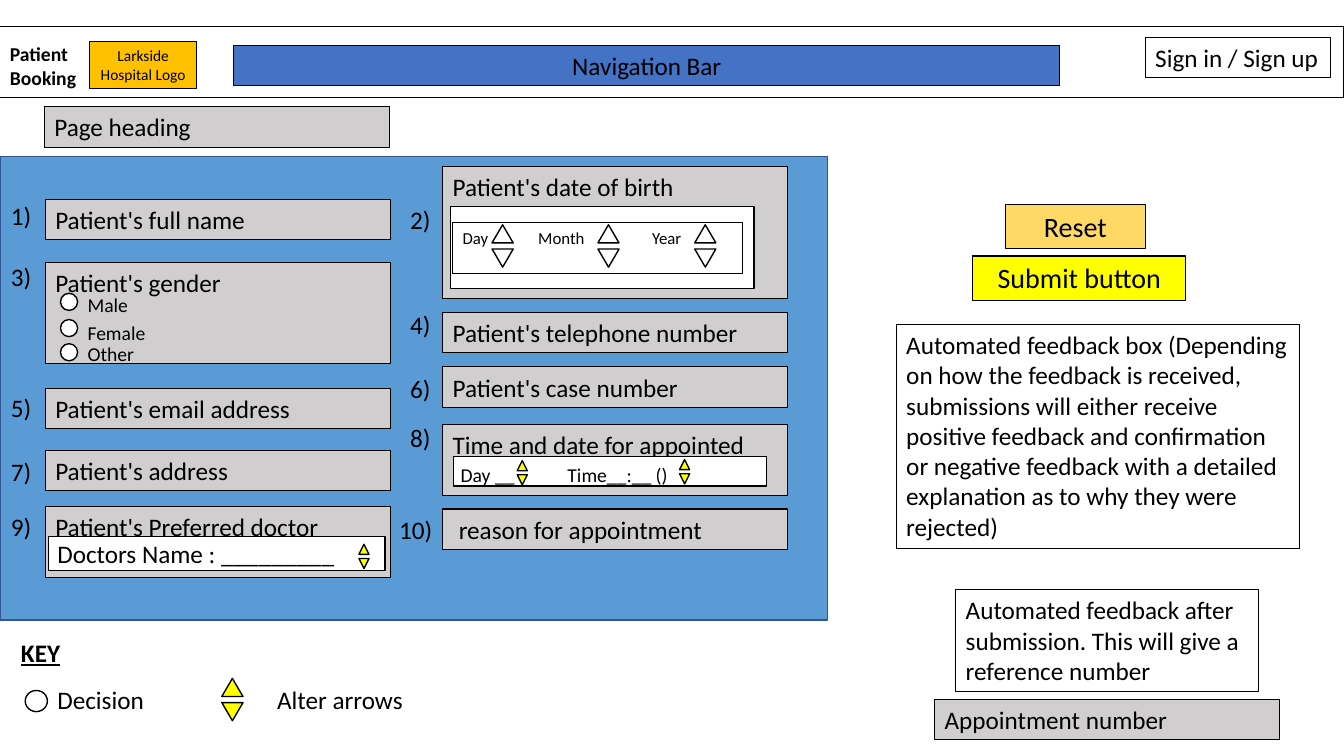
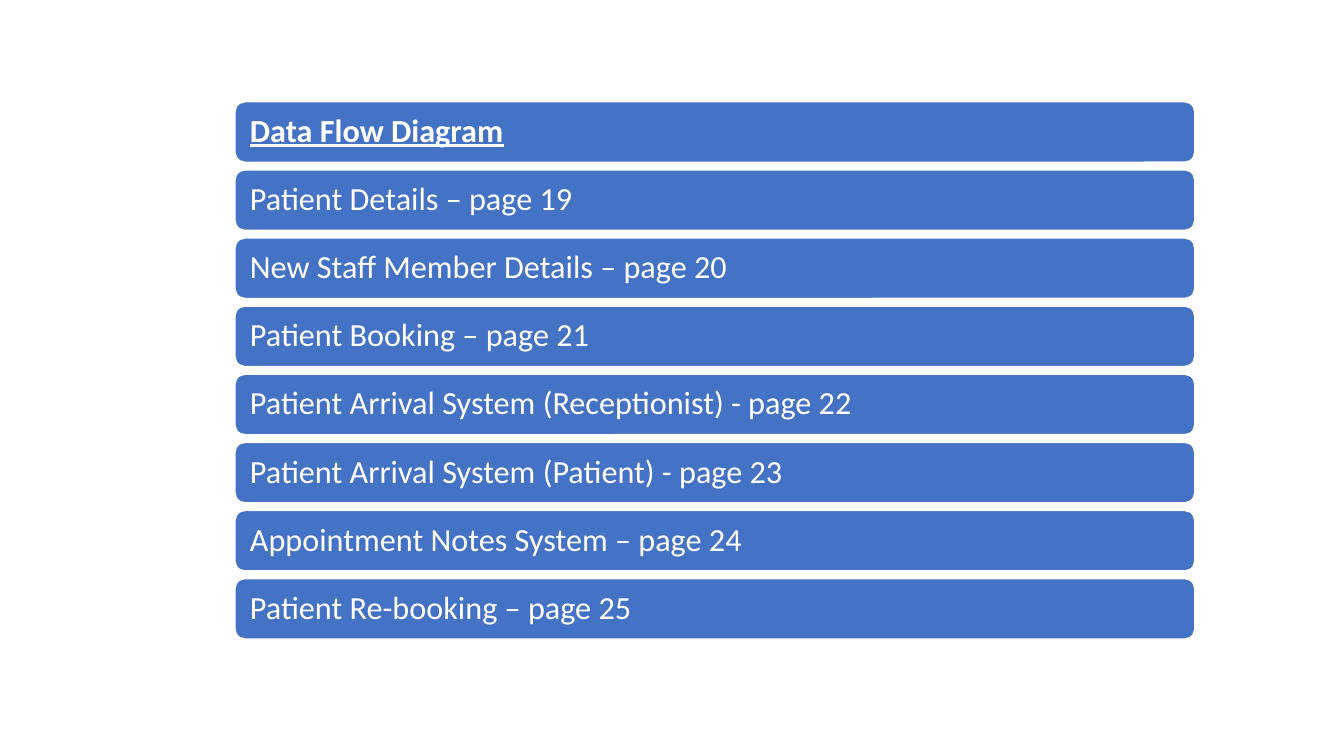
"""Build a patient booking page layout and a data flow contents slide."""
from pptx import Presentation
from pptx.dml.color import RGBColor
from pptx.enum.shapes import MSO_SHAPE
from pptx.enum.text import MSO_ANCHOR, PP_ALIGN
from pptx.util import Inches, Pt

THEME = {
    "font": "Calibri",
    "colours": {
        "black": "000000", "white": "FFFFFF", "blue": "4472C4",
        "panel": "5B9BD5", "panel edge": "325491", "grey": "D0CECE",
        "yellow": "FFFF00", "gold": "FFC000", "sand": "FFD966",
    },
    "text": {
        "body": {"size": Pt(18)},
        "button": {"size": Pt(20)},
        "option": {"size": Pt(14)},
        "brand": {"size": Pt(14), "bold": True},
        "logo": {"size": Pt(11)},
        "date": {"size": Pt(12)},
        "key": {"size": Pt(18), "bold": True, "underline": True},
        "entry": {"size": Pt(23)},
        "heading": {"size": Pt(23), "bold": True, "underline": True},
    },
    "thin": 0.75,
    "medium": 1,
}

HEADER = [
    ("Navigation Bar", (2.32, 0.45, 8.19, 0.4), "blue", "body", PP_ALIGN.CENTER),
    ("Sign in / Sign up", (11.36, 0.37, 1.84, 0.4), None, "body", PP_ALIGN.LEFT),
    ("", (0, 0.26, 13.33, 0.71), None, "body", PP_ALIGN.LEFT),
    ("Larkside Hospital Logo", (0.89, 0.41, 1.06, 0.47), "gold", "logo", PP_ALIGN.CENTER),
    ("Page heading", (0.44, 1.06, 3.42, 0.4), "grey", "body", PP_ALIGN.LEFT),
]
FEEDBACK = [
    ("Reset", (9.97, 2.03, 1.39, 0.44), "sand", "button", PP_ALIGN.CENTER),
    ("Submit button", (9.65, 2.54, 2.11, 0.44), "yellow", "button", PP_ALIGN.CENTER),
    ("Automated feedback box (Depending on how the feedback is received, "
     "submissions will either receive positive feedback and confirmation or "
     "negative feedback with a detailed explanation as to why they were rejected)",
     (8.89, 3.22, 4, 2.22), None, "body", PP_ALIGN.LEFT),
    ("Automated feedback after submission. This will give a reference number",
     (9.48, 5.85, 3, 1.01), None, "body", PP_ALIGN.LEFT),
    ("Appointment number", (9.27, 6.94, 3.42, 0.4), "grey", "body", PP_ALIGN.LEFT),
]
QUESTION_COLUMNS = [
    (0.45, 0.01, [
        ("1)", "Patient's full name", 1.98, 0.4, 1.94),
        ("3)", "Patient's gender", 2.6, 1.01, 2.54),
        ("5)", "Patient's email address", 3.85, 0.4, 3.84),
        ("7)", "Patient's address", 4.47, 0.4, 4.48),
        ("9)", "Patient's Preferred doctor", 5.02, 0.71, 5.02),
    ]),
    (4.39, 3.97, [
        ("2)", "Patient's date of birth", 1.65, 1.31, 1.98),
        ("4)", "Patient's telephone number", 3.1, 0.4, 3.02),
        ("6)", "Patient's case number", 3.64, 0.4, 3.65),
        ("8)", "Time and date for appointed", 4.21, 0.71, 4.14),
    ]),
]
INPUT_FRAMES = [(4.47, 2.05, 3.01, 0.81), (4.5, 4.53, 3.1, 0.29), (0.48, 5.32, 3.34, 0.34)]
LABELS = [
    ("Patient Booking", (0, 0.37, 0.9, 0.57), "brand"),
    ("10)", (3.86, 5.05, 0.64, 0.4), "body"),
    ("Day", (4.49, 2.21, 0.6, 0.3), "date"),
    ("Month", (5.24, 2.21, 0.8, 0.3), "date"),
    ("Year", (6.37, 2.21, 0.6, 0.3), "date"),
    ("Day __", (4.47, 4.54, 0.8, 0.34), "option"),
    ("Time__:__ ()", (5.53, 4.54, 1.3, 0.34), "option"),
    ("Doctors Name : _________", (0.47, 5.29, 3, 0.4), "body"),
    ("Male", (0.77, 2.86, 0.9, 0.34), "option"),
    ("Female", (0.77, 3.13, 0.9, 0.34), "option"),
    ("Other", (0.77, 3.34, 0.9, 0.34), "option"),
    ("KEY", (0.11, 6.27, 0.65, 0.4), "key"),
    ("Decision", (0.47, 6.74, 1.5, 0.4), "body"),
    ("Alter arrows", (2.65, 6.74, 1.6, 0.4), "body"),
]
CIRCLES = [(0.6, top, 0.17, 0.17) for top in (2.91, 3.17, 3.41)] + [(0.25, 6.85, 0.22, 0.21)]
LARGE_ARROW = (0.21, 0.18, 0.24)
SMALL_ARROW = (0.1, 0.1, 0.14)
ARROW_PAIRS = [
    (4.88, 2.23, LARGE_ARROW, "white"),
    (5.93, 2.23, LARGE_ARROW, "white"),
    (6.89, 2.23, LARGE_ARROW, "white"),
    (2.2, 6.73, LARGE_ARROW, "yellow"),
    (5.13, 4.57, SMALL_ARROW, "yellow"),
    (6.74, 4.56, SMALL_ARROW, "yellow"),
    (3.56, 5.4, SMALL_ARROW, "yellow"),
]

CONTENTS = [
    "Data Flow Diagram",
    "Patient Details – page 19",
    "New Staff Member Details – page 20",
    "Patient Booking – page 21",
    "Patient Arrival System (Receptionist) - page 22",
    "Patient Arrival System (Patient) - page 23",
    "Appointment Notes System – page 24",
    "Patient Re-booking – page 25",
]
CONTENTS_LEFT, CONTENTS_WIDTH, ROW_HEIGHT = 2.33, 9.52, 0.6
FIRST_ROW, LAST_ROW = 1.01, 5.74


def colour(name):
    return RGBColor.from_string(THEME["colours"][name])


def write(holder, text, style, ink="black", align=PP_ALIGN.LEFT,
          anchor=MSO_ANCHOR.TOP, inset=0.1):
    frame = holder.text_frame
    layout = {"word_wrap": True, "vertical_anchor": anchor, "margin_left": Inches(inset)}
    for name, value in layout.items():
        setattr(frame, name, value)
    para = frame.paragraphs[0]
    para.alignment = align
    span = para.add_run()
    span.text = text
    for name, value in {"name": THEME["font"], **THEME["text"][style]}.items():
        setattr(span.font, name, value)
    span.font.color.rgb = colour(ink)


def add_box(page, frame, fill=None, line="black", weight="thin", kind=MSO_SHAPE.RECTANGLE):
    box = page.shapes.add_shape(kind, *map(Inches, frame))
    box.shadow.inherit = False
    if fill:
        box.fill.solid()
        box.fill.fore_color.rgb = colour(fill)
    else:
        box.fill.background()
    box.line.color.rgb = colour(line)
    box.line.width = Pt(THEME[weight])
    return box


def add_label(page, text, frame, style):
    write(page.shapes.add_textbox(*map(Inches, frame)), text, style)


def add_text_boxes(page, entries):
    for text, frame, fill, style, align in entries:
        box = add_box(page, frame, fill)
        if text:
            write(box, text, style, align=align)


def add_questions(page):
    for field_left, number_left, questions in QUESTION_COLUMNS:
        for number, text, top, height, number_top in questions:
            write(add_box(page, (field_left, top, 3.42, height), "grey"), text, "body")
            add_label(page, number, (number_left, number_top, 0.41, 0.4), "body")
    reason = add_box(page, (4.39, 5.05, 3.42, 0.4), "grey")
    write(reason, "reason for appointment", "body", inset=0.16)


def add_arrow_pair(page, left, top, size, fill):
    width, height, step = size
    for index in range(2):
        frame = (left, top + index * step, width, height)
        arrow = add_box(page, frame, fill, weight="medium", kind=MSO_SHAPE.ISOSCELES_TRIANGLE)
        arrow.rotation = 180 * index


def build_booking(page):
    add_box(page, (0, 1.55, 8.21, 4.6), "panel", "panel edge", "medium")
    add_text_boxes(page, HEADER)
    add_text_boxes(page, FEEDBACK)
    add_questions(page)
    for frame in INPUT_FRAMES:
        add_box(page, frame, "white", weight="medium")
    add_box(page, (4.49, 2.21, 2.87, 0.5))
    for circle in CIRCLES:
        add_box(page, circle, "white", weight="medium", kind=MSO_SHAPE.FLOWCHART_CONNECTOR)
    for label in LABELS:
        add_label(page, *label)
    for pair in ARROW_PAIRS:
        add_arrow_pair(page, *pair)


def build_contents(page):
    step = (LAST_ROW - FIRST_ROW) / (len(CONTENTS) - 1)
    for index, text in enumerate(CONTENTS):
        frame = (CONTENTS_LEFT, FIRST_ROW + index * step, CONTENTS_WIDTH, ROW_HEIGHT)
        row = add_box(page, frame, "blue", "white", "medium", MSO_SHAPE.ROUNDED_RECTANGLE)
        style = "entry" if index else "heading"
        write(row, text, style, "white", anchor=MSO_ANCHOR.MIDDLE, inset=0.12)
        row.text_frame.paragraphs[0].line_spacing = 0.9


def main():
    deck = Presentation()
    deck.slide_width, deck.slide_height = Inches(13.33), Inches(7.5)
    for build in (build_booking, build_contents):
        build(deck.slides.add_slide(deck.slide_layouts[6]))
    deck.save("out.pptx")


if __name__ == "__main__":
    main()
